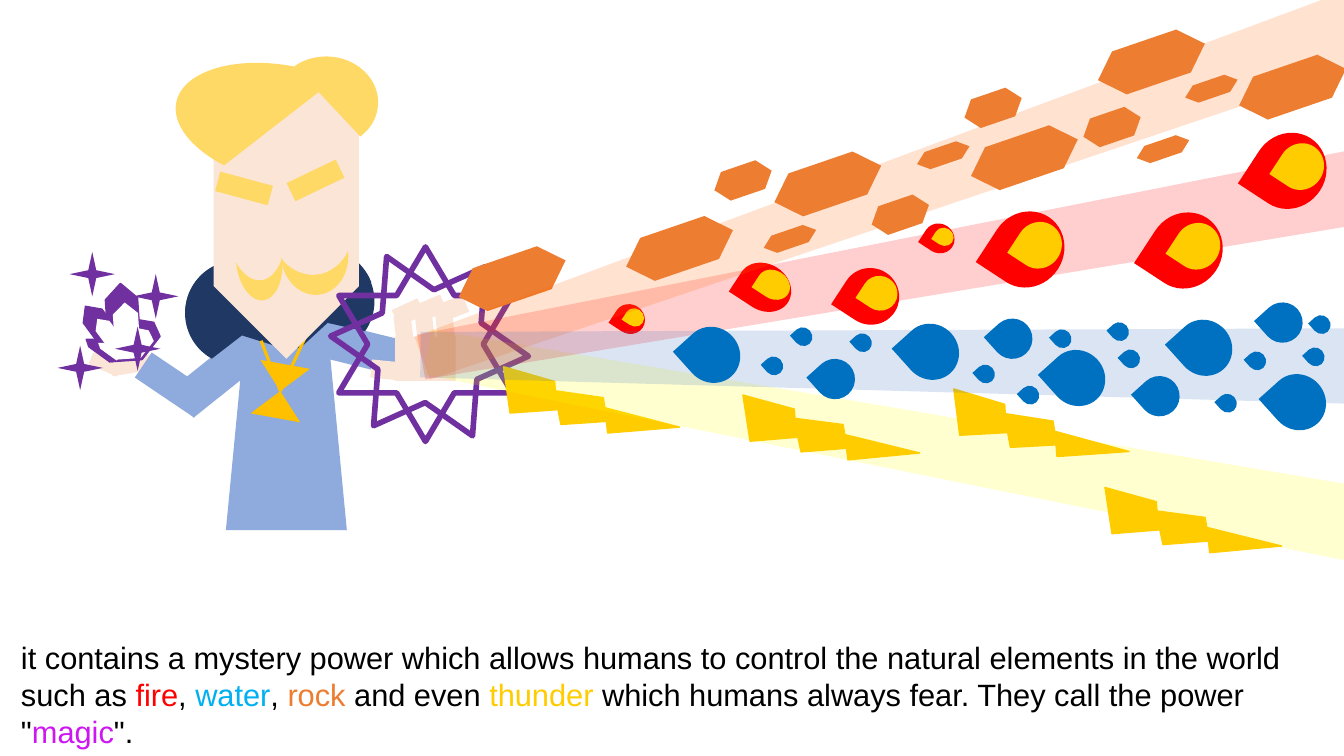
from lxml.etree import SubElement
from pptx import Presentation
from pptx.dml.color import RGBColor
from pptx.enum.shapes import MSO_CONNECTOR, MSO_SHAPE as Preset
from pptx.enum.text import MSO_AUTO_SIZE
from pptx.oxml.ns import qn
from pptx.util import Inches, Pt

COLORS = {
    "robe": "8FAADC", "skin": "FBE5D6", "hair": "FFD966", "collar": "203864",
    "purple": "7030A0", "gold": "FFC000", "white": "FFFFFF", "black": "000000",
    "fire": "FF0000", "core": "FFCC00", "thunder": "FFCC00", "rock": "ED7D31",
    "drop": "0070C0", "water": "00B0F0", "magic": "CD17F1",
    "thunder beam": "FFFF00", "fire beam": "FF0000",
    "rock beam": "FF6600", "water beam": "4472C4",
}
FLAME = Preset.FLOWCHART_OFFPAGE_CONNECTOR
BEAM = Preset.FLOWCHART_MANUAL_OPERATION
BEAM_ALPHA = 19
BEAM_WIDTH = 0.75

# Wizard parts, back to front. Each place is left, top, width, height, rotation.
BODY = [
    (BEAM, "robe", [(2.24, 2.76, 1.2, 2.5, 180)]),
    (Preset.RECTANGLE, "robe", [(3.17, 3.3, 1, 0.36, 13.9)]),
    (Preset.RECTANGLE, "skin", [
        (3.92, 3.34, 0.6, 0.44, 0), (3.92, 3.13, 0.17, 0.3, 353.4),
        (4.13, 3.11, 0.17, 0.3, 353.4), (4.33, 3.09, 0.17, 0.3, 353.4),
        (3.73, 3.53, 0.18, 0.28, 95.7), (4.4, 2.92, 0.18, 0.28, 68.8),
        (4.18, 2.92, 0.18, 0.28, 67.3), (3.96, 2.96, 0.18, 0.28, 65.1)]),
    (Preset.RECTANGLE, "robe", [(1.7, 3.51, 1, 0.36, 321.4)]),
    (Preset.RECTANGLE, "skin", [
        (1.1, 3.55, 0.41, 0.15, 350.1), (0.89, 3.55, 0.31, 0.13, 24.1)]),
    (Preset.RECTANGLE, "robe", [(1.36, 3.67, 0.71, 0.3, 34)]),
    (FLAME, "purple", [
        (1.06, 2.81, 0.32, 0.77, 176.2), (0.91, 2.98, 0.23, 0.6, 143.6),
        (1.28, 3.16, 0.27, 0.36, 217.7), (0.94, 3.3, 0.09, 0.32, 125.9)]),
    (FLAME, "white", [
        (1.13, 3, 0.25, 0.56, 176.2), (1.01, 3.12, 0.17, 0.44, 143.6),
        (1.29, 3.25, 0.21, 0.26, 217.7), (1.04, 3.35, 0.07, 0.25, 125.9)]),
    (Preset.CHORD, "collar", [
        (1.84, 2.58, 1.04, 1.05, 74.7), (1.84, 2.58, 1.04, 1.05, 129.9),
        (2.67, 2.46, 1.04, 1.05, 69.8), (2.67, 2.46, 1.04, 1.05, 125)]),
]
PENDANT_POINT = (2.78, 3.88)
NECKLACE_STARTS = [(2.59, 3.38), (3.1, 3.19)]
HEAD = [
    (Preset.FLOWCHART_COLLATE, "gold", [(2.53, 3.61, 0.5, 0.54, 10.3)]),
    (Preset.PENTAGON, "skin", [(1.51, 1.51, 2.66, 1.44, 90)]),
    (Preset.CHORD, "hair", [(2.25, 0.13, 1.17, 2.22, 101.8)], (27, 129.24)),
    (Preset.CHORD, "hair", [(2.73, 0.56, 1.02, 0.9, 182.7)], (27, 133.87)),
    (Preset.RECTANGLE, "hair", [
        (2.15, 1.77, 0.54, 0.2, 15.1), (2.86, 1.69, 0.54, 0.2, 334.4)]),
    (Preset.MOON, "hair", [
        (2.39, 2.55, 0.4, 0.46, 264.2), (2.94, 2.39, 0.4, 0.67, 264.2)]),
]
MAGIC_STARS = [(3.36, 2.45, 1.72, 1.93, 0), (3.4, 2.47, 1.72, 1.93, 35.1)]
SPARKLE_SIZE = (0.45, 0.44)
SPARKLES = [(1.14, 3.24), (1.32, 2.72), (0.57, 3.43), (0.69, 2.5)]

# Beams: left, top, length, rotation.
THUNDER_BEAM = (8.47, -0.34, 9.37, 100.5)
FIRE_BEAM = (8.57, -2.17, 9.69, 79.7)
ROCK_BEAM = (8.45, -3.01, 9.84, 70.5)
WATER_BEAM = (8.43, -1.06, 9.27, 90.7)

BOLT_SIZE = (0.86, 1.77)
BOLTS = [(5.34, 3.19, 305.4), (7.72, 3.46, 304.6),
         (9.8, 3.42, 306.1), (11.31, 4.38, 304.8)]

FIRE_TILT = 213.2
FIREBALLS = [(12.43, 1.31, 0.72, 0.77), (11.4, 2.1, 0.72, 0.77),
             (9.16, 2.22, 0.31, 0.29), (9.83, 2.09, 0.72, 0.77),
             (6.09, 3.02, 0.31, 0.29), (7.31, 2.62, 0.55, 0.46),
             (8.35, 2.66, 0.57, 0.56)]

ROCK_TILT = 341.1
NEAREST_ROCK = (4.52, 2.54)
ROCKS = {
    (1.12, 0.45): [(12.26, 0.64), (10.86, 0.39), (9.6, 1.34), (7.65, 1.6), (6.18, 2.24)],
    (0.55, 0.18): [(7.56, 2.28), (9.08, 1.45), (11.26, 1.39), (11.74, 0.79)],
    (0.6, 0.3): [(8.63, 1.98), (9.55, 0.92), (10.73, 1.11), (7.07, 1.64)],
}

DROP_TILT = 228
DROPS = {
    (0.57, 0.54): [(12.59, 3.72), (11.66, 3.18), (10.4, 3.48), (8.95, 3.22), (6.78, 3.25)],
    (0.4, 0.4): [(8.08, 3.56), (9.84, 3.16), (11.3, 3.73), (12.52, 3)],
    (0.19, 0.18): [(11.01, 3.2), (9.68, 3.62), (7.87, 3.25), (12.08, 3.91),
                   (12.95, 3.45), (10.44, 3.27), (11.12, 3.47), (7.58, 3.54),
                   (8.46, 3.31), (12.37, 3.49), (13.01, 3.13), (10.12, 3.83)],
}

STORY = [
    ("it contains a mystery power which allows humans to control the natural "
     "elements in the world such as ", "black"),
    ("fire", "fire"), (", ", "black"), ("water", "water"), (", ", "black"),
    ("rock", "rock"), (" and even ", "black"), ("thunder", "thunder"),
    (' which humans always fear. They call the power "', "black"),
    ("magic", "magic"), ('".', "black"),
]
STORY_BOX = (0.11, 6.29, 13.01, 1.21)
STORY_FONT = {"name": "Arial", "size": Pt(22)}


def rgb(color):
    return RGBColor.from_string(COLORS[color])


def add_part(group, preset, place, fill=None, line=None, line_width=1, adjust=()):
    left, top, width, height, rotation = place
    part = group.shapes.add_shape(
        preset, Inches(left), Inches(top), Inches(width), Inches(height))
    part.rotation = rotation
    part.shadow.inherit = False
    for index, value in enumerate(adjust):
        part.adjustments[index] = value
    if fill:
        part.fill.solid()
        part.fill.fore_color.rgb = rgb(fill)
    else:
        part.fill.background()
    if line:
        part.line.color.rgb = rgb(line)
        part.line.width = Pt(line_width)
    else:
        part.line.fill.background()
    return part


def add_beam(group, color, place):
    left, top, length, rotation = place
    beam = add_part(group, BEAM, (left, top, BEAM_WIDTH, length, rotation), color)
    solid = beam.fill._xPr.find(qn("a:solidFill"))
    SubElement(solid[0], qn("a:alpha"), val=str(BEAM_ALPHA * 1000))


def add_layers(group, layers):
    for preset, color, places, *adjust in layers:
        outline = "purple" if (preset, color) == (FLAME, "purple") else None
        for place in places:
            add_part(group, preset, place, color, outline,
                     adjust=adjust[0] if adjust else ())


def add_scattered(group, preset, color, places_by_size, tilt):
    for size, corners in places_by_size.items():
        for corner in corners:
            add_part(group, preset, (*corner, *size, tilt), color)


def draw_wizard(group):
    add_layers(group, BODY)
    for start in NECKLACE_STARTS:
        chain = group.shapes.add_connector(
            MSO_CONNECTOR.STRAIGHT, *map(Inches, start + PENDANT_POINT))
        chain.line.color.rgb = rgb("gold")
        chain.line.width = Pt(2.25)
        SubElement(chain._element.spPr, qn("a:effectLst"))
    add_layers(group, HEAD)
    for place in MAGIC_STARS:
        add_part(group, Preset.STAR_6_POINT, place, line="purple", line_width=4)
    for corner in SPARKLES:
        add_part(group, Preset.STAR_4_POINT, (*corner, *SPARKLE_SIZE, 0), "purple")


def draw_thunder(group):
    for number, (left, top, tilt) in enumerate(BOLTS):
        add_part(group, Preset.LIGHTNING_BOLT, (left, top, *BOLT_SIZE, tilt),
                 "thunder", "thunder")
        if number == 0:
            add_beam(group, "thunder beam", THUNDER_BEAM)


def draw_fire(group):
    add_beam(group, "fire beam", FIRE_BEAM)
    for left, top, width, height in FIREBALLS:
        add_part(group, Preset.TEAR, (left, top, width, height, FIRE_TILT), "fire")
        core = (left + 0.35 * width, top + 0.14 * height,
                0.62 * width, 0.61 * height, FIRE_TILT)
        add_part(group, Preset.TEAR, core, "core")


def draw_rocks(group):
    nearest = {(1.12, 0.45): [NEAREST_ROCK]}
    add_scattered(group, Preset.FLOWCHART_PREPARATION, "rock", nearest, ROCK_TILT)
    add_beam(group, "rock beam", ROCK_BEAM)
    add_scattered(group, Preset.FLOWCHART_PREPARATION, "rock", ROCKS, ROCK_TILT)


def draw_water(group):
    add_beam(group, "water beam", WATER_BEAM)
    add_scattered(group, Preset.TEAR, "drop", DROPS, DROP_TILT)


def write_story(slide):
    frame = slide.shapes.add_textbox(*map(Inches, STORY_BOX)).text_frame
    frame.word_wrap = True
    frame.auto_size = MSO_AUTO_SIZE.SHAPE_TO_FIT_TEXT
    for text, color in STORY:
        run = frame.paragraphs[0].add_run()
        run.text = text
        run.font.color.rgb = rgb(color)
        for attribute, value in STORY_FONT.items():
            setattr(run.font, attribute, value)


def main():
    deck = Presentation()
    deck.slide_width, deck.slide_height = Inches(13.33), Inches(7.5)
    slide = deck.slides.add_slide(deck.slide_layouts[6])
    for draw in (draw_wizard, draw_thunder, draw_fire, draw_rocks, draw_water):
        draw(slide.shapes.add_group_shape())
    write_story(slide)
    deck.save("out.pptx")


if __name__ == "__main__":
    main()
